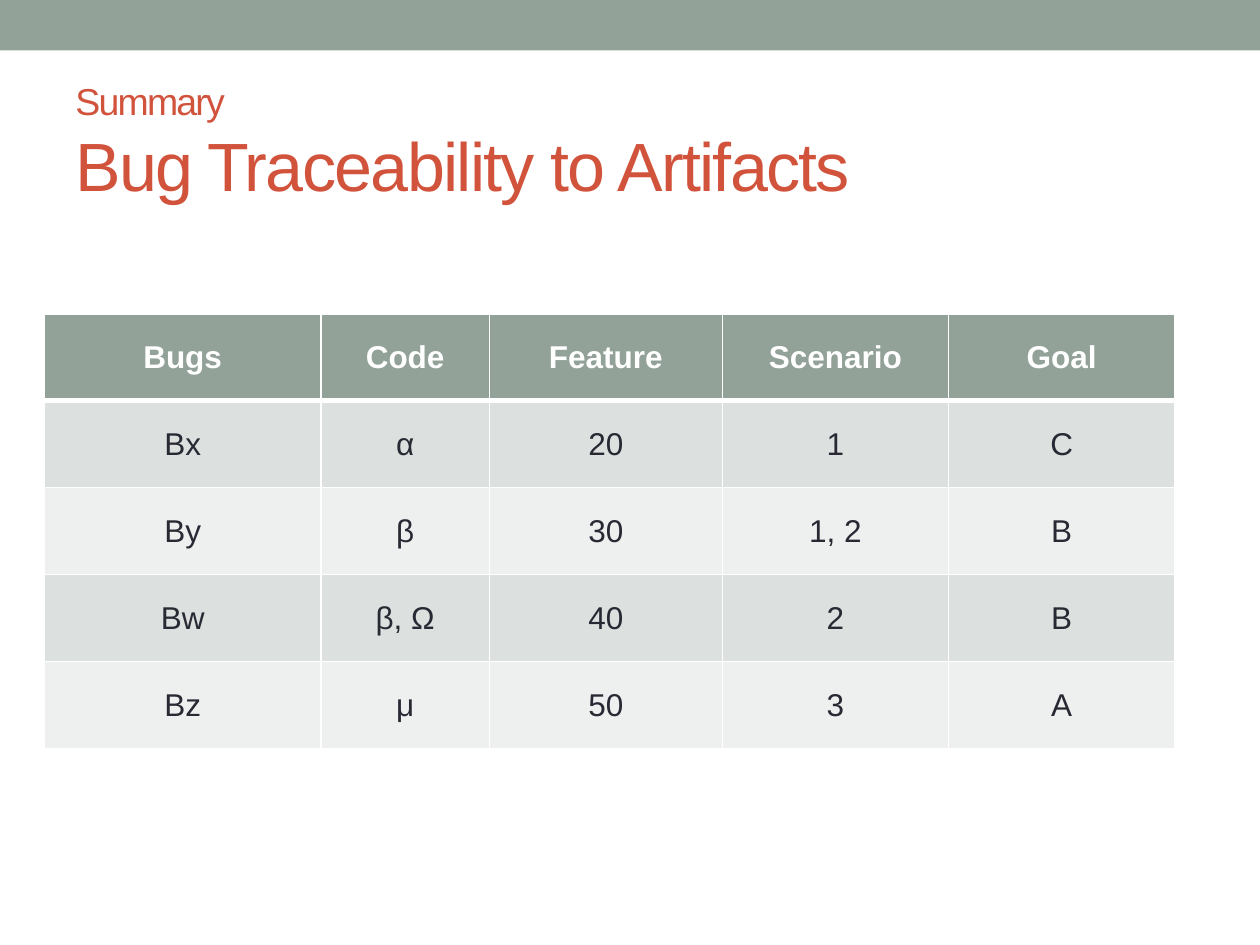
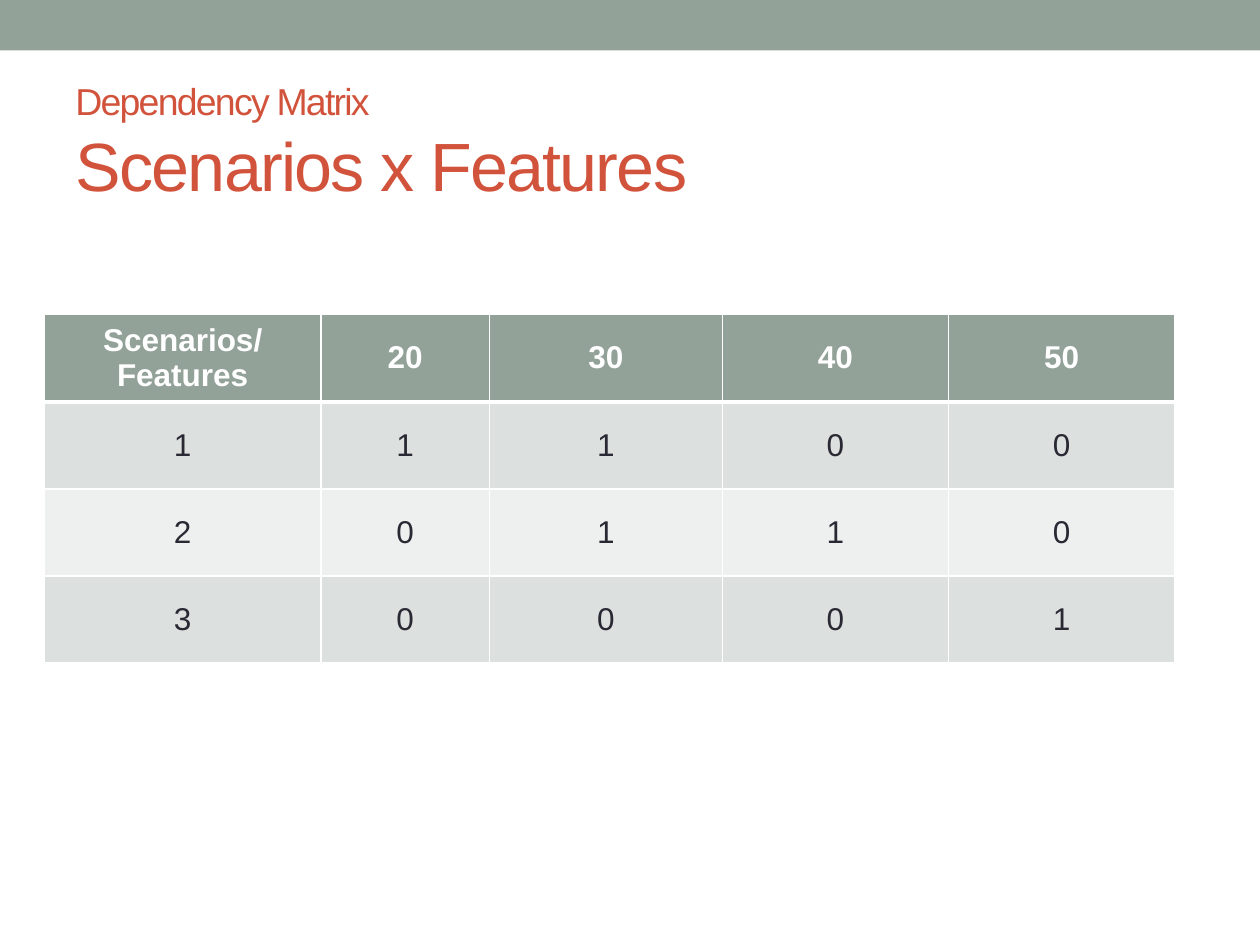
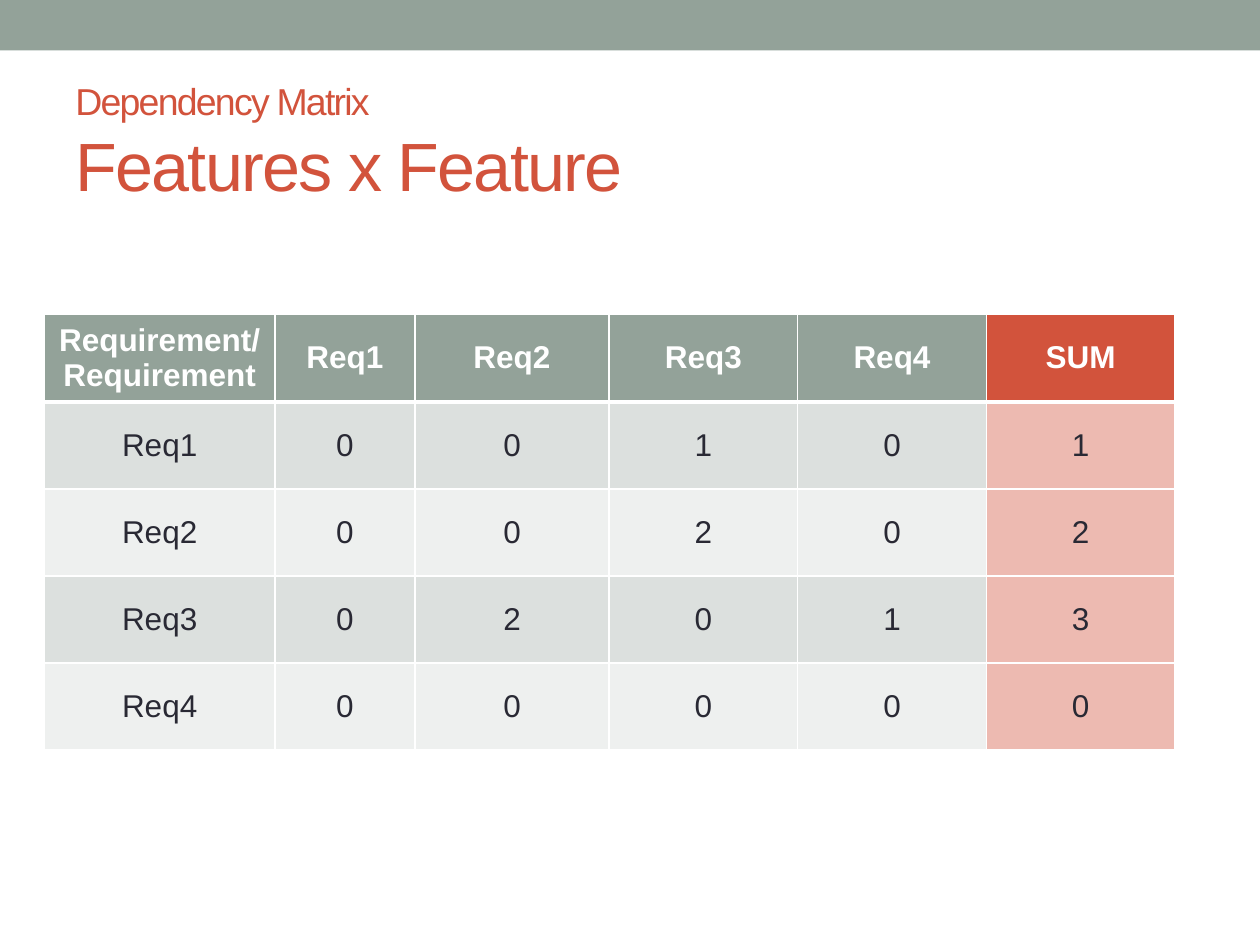
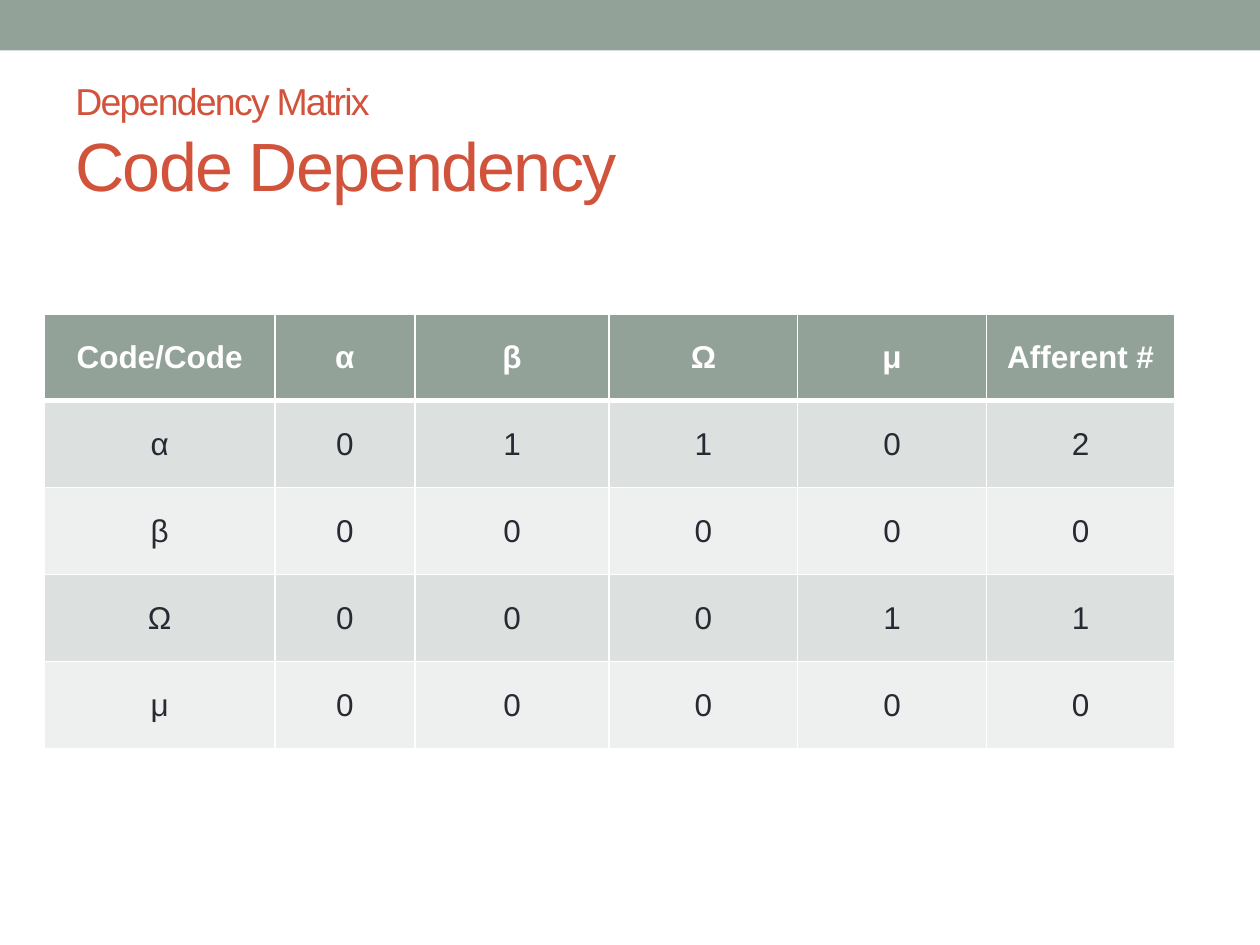
from lxml.etree import SubElement
from pptx import Presentation
from pptx.dml.color import RGBColor
from pptx.enum.shapes import MSO_SHAPE
from pptx.enum.text import MSO_ANCHOR as ANCHOR, PP_ALIGN as ALIGN
from pptx.oxml.ns import qn
from pptx.util import Pt

COLORS = {
    "sage": "93A299",
    "rust": "D2533C",
    "blush": "EDBAB1",
    "odd": "DCE0DE",
    "even": "EEF0EF",
    "ink": "292934",
    "white": "FFFFFF",
}


def color(name):
    return RGBColor.from_string(COLORS[name])


def add_text(p, text, size=18, fill="ink", bold=False, align=None, spacing=None):
    p.alignment = align
    r = p.add_run()
    r.text = text
    r.font.name = "Arial"
    r.font.size = Pt(size)
    r.font.bold = bold
    r.font.color.rgb = color(fill)
    if spacing is not None:
        r.font._element.set("spc", str(round(spacing * 100)))


def add_border(cell, side, width):
    ln = SubElement(cell._tc.get_or_add_tcPr(), qn(f"a:ln{side}"), w=str(Pt(width)))
    SubElement(SubElement(ln, qn("a:solidFill")), qn("a:srgbClr"), val=COLORS["white"])


class Deck:
    width, height = 720, 540
    band_height = 28.8
    table_left, table_top = 25.4, 179.3
    row_height = 49.7

    def __init__(self):
        self.prs = Presentation()
        self.prs.slide_width = Pt(self.width)
        self.prs.slide_height = Pt(self.height)

    def slide(self, kicker, title):
        self.s = self.prs.slides.add_slide(self.prs.slide_layouts[6])
        self.band()
        self.title(kicker, title)

    def band(self):
        sp = self.s.shapes.add_shape(
            MSO_SHAPE.RECTANGLE, 0, 0, Pt(self.width), Pt(self.band_height))
        sp.shadow.inherit = False
        sp.fill.solid()
        sp.fill.fore_color.rgb = color("sage")
        sp.line.fill.background()

    def title(self, kicker, title):
        tf = self.s.shapes.add_textbox(Pt(36), Pt(41.8), Pt(648), Pt(77.8)).text_frame
        tf.word_wrap = True
        tf.vertical_anchor = ANCHOR.MIDDLE
        p = tf.paragraphs[0]
        add_text(p, kicker, size=21.4, fill="rust", spacing=-1)
        p.add_line_break()
        SubElement(p._p.find(qn("a:br")), qn("a:rPr"), sz="2800")
        add_text(p, title, size=39, fill="rust", spacing=-1)

    def table(self, widths, rows, accent_col=None):
        tbl = self.s.shapes.add_table(
            len(rows), len(widths), Pt(self.table_left), Pt(self.table_top),
            Pt(sum(widths)), Pt(self.row_height * len(rows))).table
        for col, width in zip(tbl.columns, widths):
            col.width = Pt(width)
        for i, values in enumerate(rows):
            tbl.rows[i].height = Pt(self.row_height)
            for j, value in enumerate(values):
                self.cell(tbl.cell(i, j), value, i, j == accent_col)

    def cell(self, cell, value, row, accent):
        header = row == 0
        for side in "LRTB":
            thick = (side == "B" and header) or (side == "T" and row == 1)
            add_border(cell, side, 3 if thick else 1)
        if header:
            fill = "rust" if accent else "sage"
        else:
            fill = "blush" if accent else "odd" if row % 2 else "even"
        cell.fill.solid()
        cell.fill.fore_color.rgb = color(fill)
        cell.vertical_anchor = ANCHOR.MIDDLE
        add_text(cell.text_frame.paragraphs[0], value, bold=header,
                 fill="white" if header else "ink", align=ALIGN.CENTER)


FIVE_COLS = [158, 96.3, 133.1, 129.3, 129.3]
SIX_COLS = [131.7, 80, 111, 107.8, 107.8, 107.8]

deck = Deck()

deck.slide("Summary", "Bug Traceability to Artifacts")
deck.table(FIVE_COLS, [
    ["Bugs", "Code", "Feature", "Scenario", "Goal"],
    ["Bx", "α", "20", "1", "C"],
    ["By", "β", "30", "1, 2", "B"],
    ["Bw", "β, Ω", "40", "2", "B"],
    ["Bz", "μ", "50", "3", "A"],
])

deck.slide("Dependency Matrix ", "Scenarios x Features")
deck.table(FIVE_COLS, [
    ["Scenarios/Features", "20", "30", "40", "50"],
    ["1", "1", "1", "0", "0"],
    ["2", "0", "1", "1", "0"],
    ["3", "0", "0", "0", "1"],
])

deck.slide("Dependency Matrix ", "Features x Feature")
deck.table(SIX_COLS, [
    ["Requirement/ Requirement", "Req1", "Req2", "Req3", "Req4", "SUM"],
    ["Req1", "0", "0", "1", "0", "1"],
    ["Req2", "0", "0", "2", "0", "2"],
    ["Req3", "0", "2", "0", "1", "3"],
    ["Req4", "0", "0", "0", "0", "0"],
], accent_col=5)

deck.slide("Dependency Matrix ", "Code Dependency")
deck.table(SIX_COLS, [
    ["Code/Code", "α", "β", "Ω", "μ", "Afferent #"],
    ["α", "0", "1", "1", "0", "2"],
    ["β", "0", "0", "0", "0", "0"],
    ["Ω", "0", "0", "0", "1", "1"],
    ["μ", "0", "0", "0", "0", "0"],
])

deck.prs.save("out.pptx")
